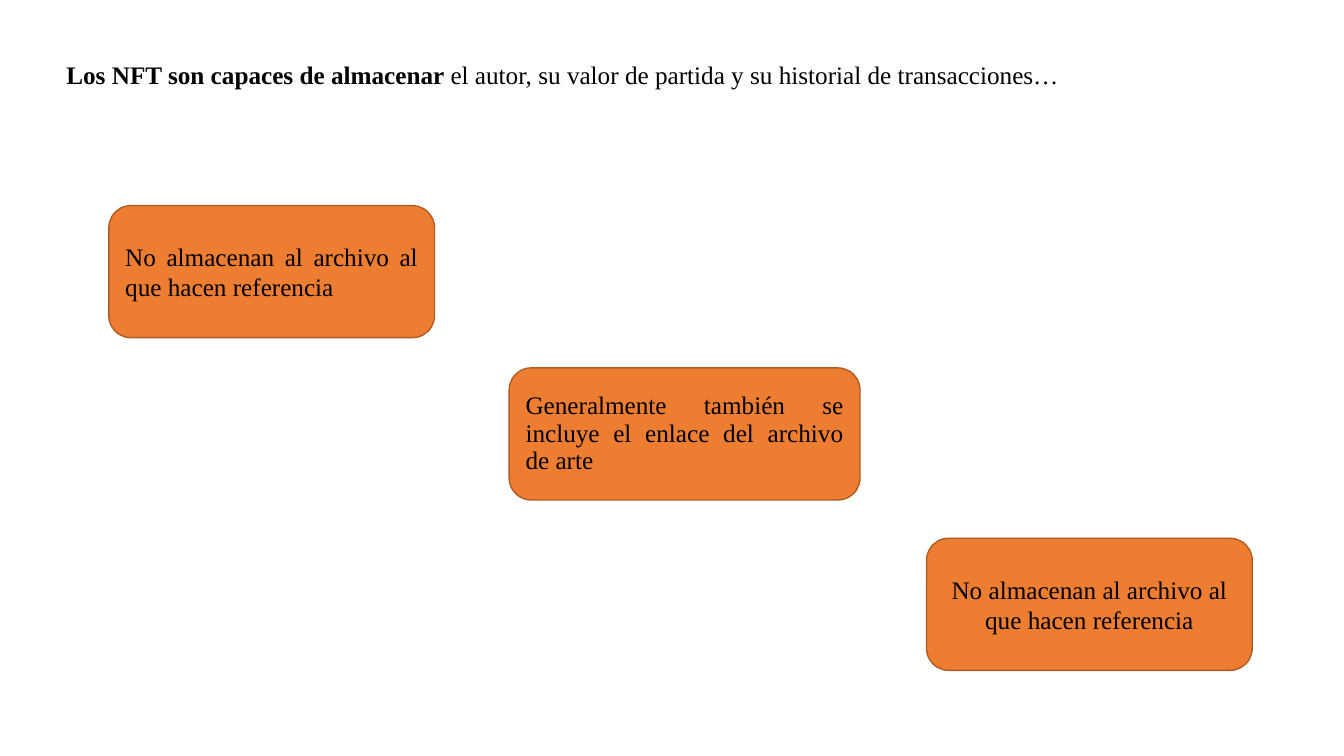
from pptx import Presentation
from pptx.dml.color import RGBColor
from pptx.enum.shapes import MSO_SHAPE
from pptx.enum.text import MSO_ANCHOR, PP_ALIGN
from pptx.util import Inches, Pt

ROUNDED = MSO_SHAPE.ROUNDED_RECTANGLE
MIDDLE = MSO_ANCHOR.MIDDLE
LEFT, CENTER, JUSTIFY = PP_ALIGN.LEFT, PP_ALIGN.CENTER, PP_ALIGN.JUSTIFY

COLORS = {"text": "000000", "card": "ED7D31", "border": "AF5C24"}
FONT = "Times New Roman"
SLIDE_WIDTH, SLIDE_HEIGHT = 13.33, 7.5
CARD_HEIGHT = 1.31

REFERENCE = "No almacenan al archivo al que hacen referencia"
LINK = "Generalmente también se incluye el enlace del archivo de arte"
CARDS = [
    (1.08, 2.04, 3.23, REFERENCE, {"align": JUSTIFY}),
    (5.05, 3.65, 3.48, LINK, {"align": JUSTIFY, "spacing": 0.9}),
    (9.19, 5.34, 3.23, REFERENCE, {"align": CENTER}),
]


def color(name):
    return RGBColor.from_string(COLORS[name])


def write(box, *parts, align=LEFT, spacing=1.0, size=18):
    frame = box.text_frame
    frame.word_wrap = True
    frame.vertical_anchor = MIDDLE
    para = frame.paragraphs[0]
    para.alignment = align
    para.line_spacing = spacing
    for text, bold in parts:
        span = para.add_run()
        span.text = text
        span.font.name = FONT
        span.font.size = Pt(size)
        span.font.bold = bold
        span.font.color.rgb = color("text")


def add_heading(page):
    box = page.shapes.add_textbox(
        Inches(0.56), Inches(0.4), Inches(11.86), Inches(0.71))
    write(box, ("Los NFT son capaces de almacenar ", True),
          ("el autor, su valor de partida y su historial de transacciones…", False),
          spacing=0.9)


def add_card(page, left, top, width, text, text_format):
    box = page.shapes.add_shape(
        ROUNDED, Inches(left), Inches(top), Inches(width), Inches(CARD_HEIGHT))
    box.shadow.inherit = False
    box.fill.solid()
    box.fill.fore_color.rgb = color("card")
    box.line.color.rgb = color("border")
    box.line.width = Pt(1)
    write(box, (text, False), **text_format)


def main():
    deck = Presentation()
    deck.slide_width = Inches(SLIDE_WIDTH)
    deck.slide_height = Inches(SLIDE_HEIGHT)
    page = deck.slides.add_slide(deck.slide_layouts[6])
    add_heading(page)
    for card in CARDS:
        add_card(page, *card)
    deck.save("out.pptx")


if __name__ == "__main__":
    main()
